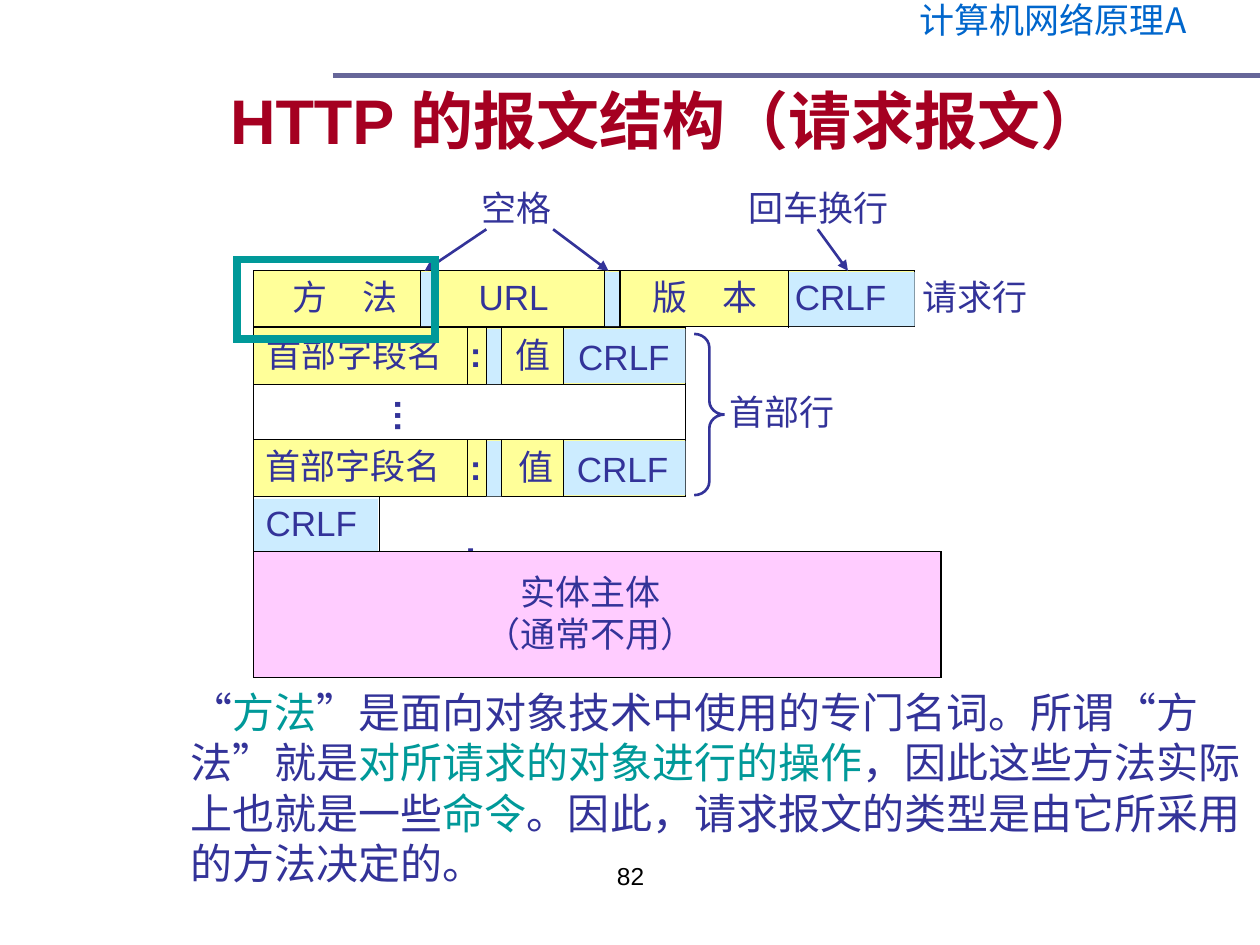
from lxml.etree import SubElement
from pptx import Presentation
from pptx.dml.color import RGBColor
from pptx.enum.shapes import MSO_CONNECTOR, MSO_SHAPE
from pptx.enum.text import MSO_ANCHOR, MSO_AUTO_SIZE, PP_ALIGN
from pptx.oxml.ns import qn
from pptx.util import Inches, Pt

NAVY, TEAL, YELLOW, BLUE, BLACK = "333399", "009999", "FFFF99", "CCECFF", "000000"
CJK = "Noto Sans CJK SC"
color = RGBColor.from_string

prs = Presentation()
prs.slide_width, prs.slide_height = Inches(10), Inches(7.5)
slide = prs.slides.add_slide(prs.slide_layouts[5])
shapes = slide.shapes


def add_box(left, top, width, height, fill=None, line=None, weight=0.75, kind=MSO_SHAPE.RECTANGLE):
    box = shapes.add_shape(kind, Inches(left), Inches(top), Inches(width), Inches(height))
    box.shadow.inherit = False
    if fill:
        box.fill.solid()
        box.fill.fore_color.rgb = color(fill)
    else:
        box.fill.background()
    if line:
        box.line.color.rgb = color(line)
        box.line.width = Pt(weight)
        SubElement(box._element.spPr.find(qn("a:ln")), qn("a:miter")).set("lim", "800000")
    else:
        box.line.fill.background()
    return box


def set_font(run, size=20, ink=NAVY, bold=False, name="Arial"):
    run.font.size, run.font.bold, run.font.name = Pt(size), bold, name
    run.font.color.rgb = color(ink)
    SubElement(run.font._element, qn("a:ea")).set("typeface", CJK)


title = shapes.title
title.left, title.top, title.width, title.height = map(Inches, (1.09, 0.49, 8.52, 0.92))
title.text_frame.text = "HTTP 的报文结构（请求报文） "
title.text_frame.vertical_anchor = MSO_ANCHOR.MIDDLE
title.text_frame.auto_size = MSO_AUTO_SIZE.NONE
title.text_frame.paragraphs[0].alignment = PP_ALIGN.CENTER
set_font(title.text_frame.paragraphs[0].runs[0], 36, "A50021", True)

course = shapes.add_textbox(Inches(7.2), Inches(0), Inches(2.69), Inches(0.44))
course.text_frame.text = "计算机网络原理A"
course.text_frame.word_wrap = True
course.text_frame.paragraphs[0].line_spacing = 0.8
set_font(course.text_frame.paragraphs[0].runs[0], 20, "0066CC", name=CJK)

header_rows = (2.6, 3.49)
for top in header_rows:
    add_box(2.01, top, 3.43, 0.45, YELLOW, BLACK)
    add_box(3.86, top + 0.01, 0.12, 0.44, BLUE)
    add_box(4.47, top + 0.01, 0.97, 0.43, BLUE)
add_box(2.01, 2.15, 5.25, 0.44, YELLOW, BLACK)
for left, width in ((3.34, 0.12), (4.8, 0.12), (6.26, 1)):
    add_box(left, 2.16, width, 0.43, BLUE)
add_box(2.01, 3.96, 0.99, 0.42, BLUE)

dividers = [(x, 2.15) for x in (3.34, 3.47, 4.8, 4.92, 6.26)]
dividers += [(x, top) for top in header_rows for x in (3.71, 3.86, 3.98, 4.47)]
dividers += [(2.01, 3.04), (5.44, 3.04), (2.01, 3.94), (3.01, 3.94)]
strokes = [(x, top, x, top + 0.45, BLACK, 0.75, False) for x, top in dividers]
strokes += [
    (2.64, 0.6, 10, 0.6, "666699", 3, False),
    (4.39, 1.82, 4.83, 2.15, NAVY, 1.5, True),
    (3.86, 1.82, 3.37, 2.15, NAVY, 1.5, True),
    (6.49, 1.82, 6.73, 2.15, NAVY, 1.5, True),
]
for x1, y1, x2, y2, ink, weight, arrow in strokes:
    stroke = shapes.add_connector(
        MSO_CONNECTOR.STRAIGHT, Inches(x1), Inches(y1), Inches(x2), Inches(y2))
    stroke.line.color.rgb = color(ink)
    stroke.line.width = Pt(weight)
    if arrow:
        SubElement(stroke._element.spPr.find(qn("a:ln")), qn("a:tailEnd")).set("type", "triangle")
    SubElement(stroke._element.spPr, qn("a:effectLst"))

brace = add_box(5.51, 2.65, 0.24, 1.28, None, NAVY, 1.5, MSO_SHAPE.RIGHT_BRACE)
brace.adjustments[0], brace.adjustments[1] = 0.45, 0.5

labels = [
    ("空格", 3.72, 1.43, 0.75),
    ("回车换行", 5.84, 1.43, 1.31),
    ("方　法", 2.22, 2.14, 1.04),
    ("URL", 3.7, 2.14, 0.75),
    ("版　本", 5.08, 2.14, 1.04),
    ("CRLF", 6.21, 2.14, 0.92),
    ("请求行", 7.22, 2.14, 1.03),
    ("首部字段名", 2.02, 2.59, 1.59),
    (":", 3.63, 2.59, 0.29),
    ("值", 3.99, 2.6, 0.48),
    ("CRLF", 4.49, 2.61, 0.92),
    ("…", 2.83, 3.08, 0.48),
    ("首部行", 5.69, 3.05, 1.03),
    ("首部字段名", 2.01, 3.48, 1.59),
    (":", 3.63, 3.49, 0.29),
    ("值", 4.02, 3.49, 0.48),
    ("CRLF", 4.48, 3.5, 0.92),
    ("CRLF", 2.01, 3.93, 0.92),
    (":", 3.59, 4.17, 0.29),
]
for words, left, top, width in labels:
    label = shapes.add_textbox(Inches(left), Inches(top), Inches(width), Inches(0.44))
    label.text_frame.text = words
    label.text_frame.word_wrap = False
    label.text_frame.auto_size = MSO_AUTO_SIZE.NONE
    set_font(label.text_frame.paragraphs[0].runs[0], bold=words in ":…")
    if words == "…":
        label.rotation = 270

add_box(2.01, 4.38, 5.46, 1, "FFCCFF", BLACK)
entity = shapes.add_textbox(Inches(3.75), Inches(4.48), Inches(1.87), Inches(0.77))
entity.text_frame.text = "实体主体\n（通常不用）"
entity.text_frame.word_wrap = False
for paragraph in entity.text_frame.paragraphs:
    paragraph.alignment = PP_ALIGN.CENTER
    set_font(paragraph.runs[0])

explanation = shapes.add_textbox(Inches(1.41), Inches(5.4), Inches(8.59), Inches(1.7))
explanation.text_frame.word_wrap = True
for words, ink in (
    ("“", NAVY),
    ("方法", TEAL),
    ("”是面向对象技术中使用的专门名词。所谓“方法”就是", NAVY),
    ("对所请求的对象进行的操作", TEAL),
    ("，因此这些方法实际上也就是一些", NAVY),
    ("命令", TEAL),
    ("。因此，请求报文的类型是由它所采用的方法决定的。", NAVY),
):
    run = explanation.text_frame.paragraphs[0].add_run()
    run.text = words
    set_font(run, 24, ink, name=CJK)

add_box(1.88, 2.06, 1.57, 0.63, None, TEAL, 4.5)

page = shapes.add_textbox(Inches(3.42), Inches(6.83), Inches(3.17), Inches(0.52))
page.text_frame.text = "82"
page.text_frame.word_wrap = True
page.text_frame.paragraphs[0].alignment = PP_ALIGN.CENTER
page.text_frame.paragraphs[0].line_spacing = 0.8
set_font(page.text_frame.paragraphs[0].runs[0], 14, BLACK)

prs.save("out.pptx")
